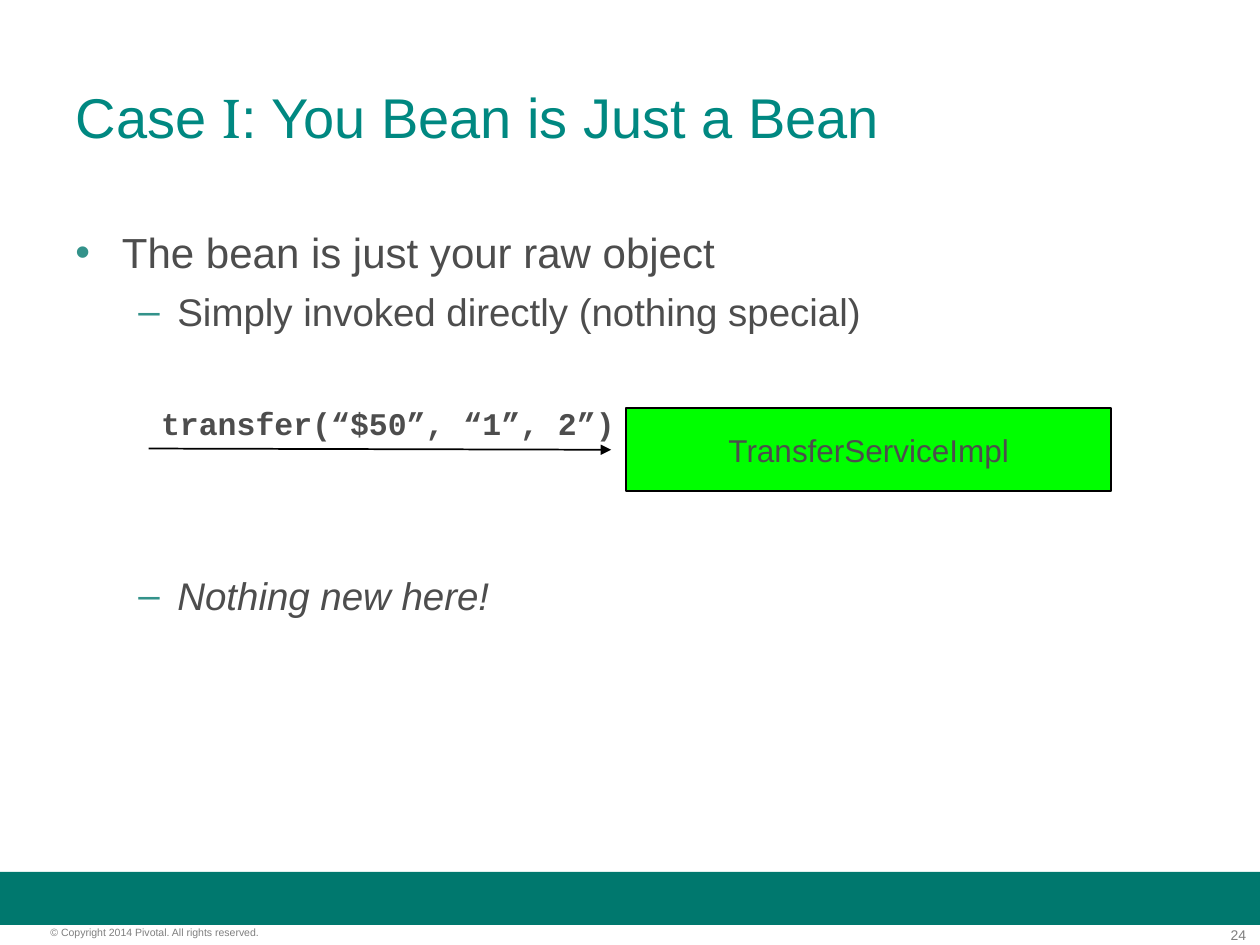
from pptx import Presentation
from pptx.dml.color import RGBColor
from pptx.enum.shapes import MSO_CONNECTOR, MSO_SHAPE
from pptx.enum.text import MSO_ANCHOR, PP_ALIGN
from pptx.oxml.ns import qn
from pptx.util import Inches, Pt
from lxml.etree import SubElement

TEAL, GREY, PALE, BLACK = "008881", "4D4D4D", "7F7F7F", "000000"


def color(code):
    return RGBColor.from_string(code)


def write(para, text, size=18, font="Arial", tint=GREY, bold=False,
          italic=False, align=PP_ALIGN.LEFT):
    """Add one formatted run to a paragraph."""
    para.alignment = align
    run = para.add_run()
    run.text = text
    face = run.font
    face.name, face.size = font, Pt(size)
    face.bold, face.italic = bold, italic
    face.color.rgb = color(tint)


def bullet(para, mark, left, hang):
    props = para._p.get_or_add_pPr()
    props.set("marL", str(Inches(left)))
    props.set("indent", str(-Inches(hang)))
    tint = SubElement(props, qn("a:buClr"))
    SubElement(tint, qn("a:srgbClr"), val="33928A")
    SubElement(props, qn("a:buFont"), typeface="Arial")
    SubElement(props, qn("a:buChar"), char=mark)


class Page:
    """Holds the slide and draws each kind of element in its style."""

    def __init__(self, deck):
        self.slide = deck.slides.add_slide(deck.slide_layouts[5])
        self.shapes = self.slide.shapes

    def title(self, box, runs):
        head = self.shapes.title
        head.left, head.top, head.width, head.height = map(Inches, box)
        frame = head.text_frame
        frame.word_wrap = True
        frame.vertical_anchor = MSO_ANCHOR.MIDDLE
        for text, font in runs:
            write(frame.paragraphs[0], text, size=32, font=font, tint=TEAL)

    def label(self, box, text, pad=True, wrap=True, **style):
        frame = self.shapes.add_textbox(*map(Inches, box)).text_frame
        frame.word_wrap = wrap
        if not pad:
            frame.margin_left = frame.margin_right = 0
            frame.margin_top = frame.margin_bottom = 0
        write(frame.paragraphs[0], text, **style)

    def points(self, box, items):
        frame = self.shapes.add_textbox(*map(Inches, box)).text_frame
        frame.word_wrap = True
        for i, (text, level, gap, italic) in enumerate(items):
            para = frame.add_paragraph() if i else frame.paragraphs[0]
            para.level = level
            mark, left, hang, size = [("•", 0.37, 0.37, 24),
                                      ("–", 0.81, 0.31, 22)][level]
            para.space_before = Pt(gap)
            bullet(para, mark, left, hang)
            write(para, text, size=size, italic=italic)

    def block(self, box, fill, edge=None, text=None):
        rect = self.shapes.add_shape(MSO_SHAPE.RECTANGLE, *map(Inches, box))
        rect.shadow.inherit = False
        rect.fill.solid()
        rect.fill.fore_color.rgb = color(fill)
        if edge:
            rect.line.color.rgb = color(edge)
            rect.line.width = Pt(1)
        else:
            rect.line.fill.background()
        if text:
            frame = rect.text_frame
            frame.word_wrap = True
            frame.vertical_anchor = MSO_ANCHOR.MIDDLE
            write(frame.paragraphs[0], text, align=PP_ALIGN.CENTER)

    def arrow(self, *ends):
        line = self.shapes.add_connector(MSO_CONNECTOR.STRAIGHT,
                                         *map(Inches, ends))
        line.line.color.rgb = color(BLACK)
        line.line.width = Pt(1)
        SubElement(line.line._get_or_add_ln(), qn("a:tailEnd"),
                   type="triangle")
        SubElement(line._element.spPr, qn("a:effectLst"))


def main():
    deck = Presentation()
    deck.slide_width, deck.slide_height = Inches(10), Inches(7.5)
    page = Page(deck)
    page.block((0, 6.92, 10, 0.42), "00786E")
    page.label((9.31, 7.35, 0.58, 0.13), "24", pad=False, size=8,
               tint=PALE, align=PP_ALIGN.RIGHT)
    page.label((0.4, 7.35, 2.49, 0.1),
               "© Copyright 2014 Pivotal. All rights reserved.",
               pad=False, size=6, tint=PALE)
    page.title((0.5, 0.3, 9, 1.25), [
        ("Case ", "Arial"), ("I", "TeX Gyre Bonum"),
        (": You Bean is Just a Bean", "Arial")])
    page.points((0.5, 1.75, 9, 4.95), [
        ("The bean is just your raw object", 0, 0, False),
        ("Simply invoked directly (nothing special)", 1, 6, False),
        ("Nothing new here!", 1, 136, True)])
    page.block((4.97, 3.24, 3.85, 0.66), "00FF00", BLACK,
               "TransferServiceImpl")
    page.label((1.18, 3.16, 3.8, 0.4), "transfer(“$50”, “1”, 2”)",
               wrap=False, font="Courier New", bold=True)
    page.arrow(1.18, 3.56, 4.85, 3.57)
    deck.save("out.pptx")


if __name__ == "__main__":
    main()
